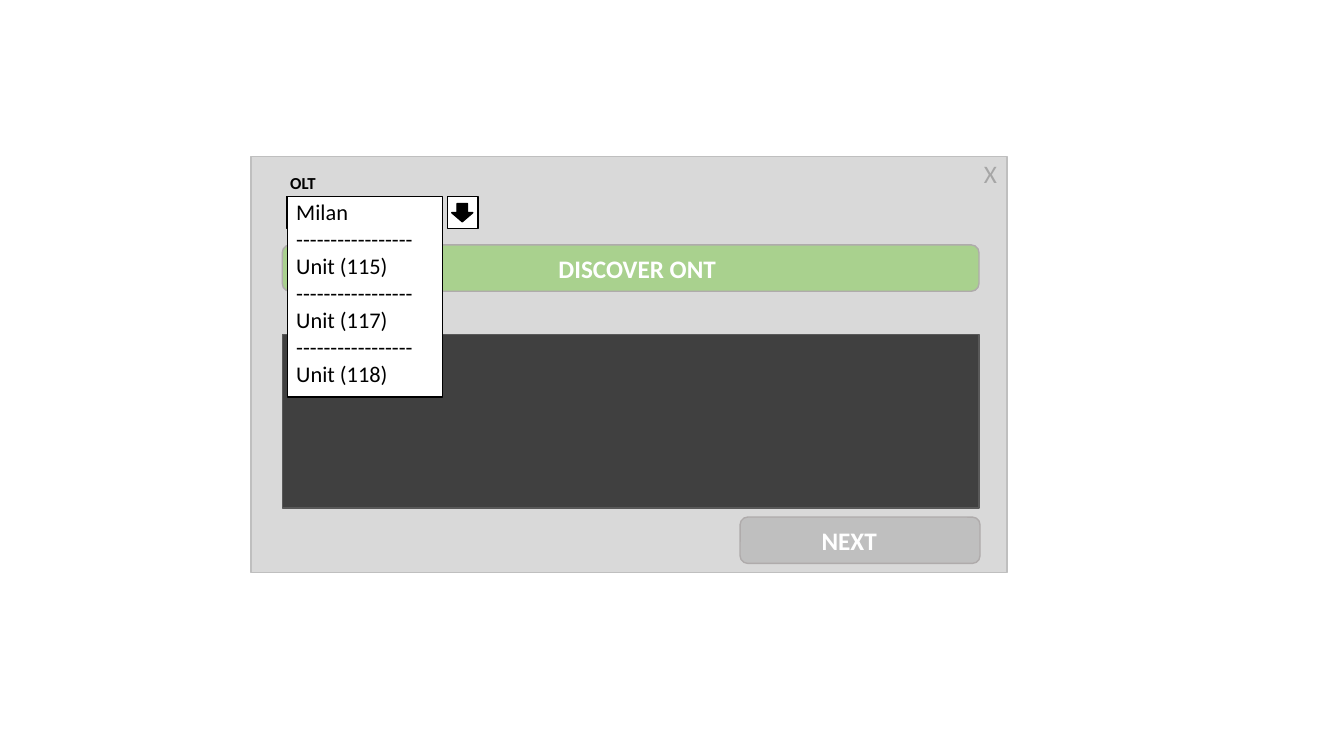
from pptx import Presentation
from pptx.dml.color import RGBColor
from pptx.enum.shapes import MSO_SHAPE
from pptx.enum.text import MSO_AUTO_SIZE
from pptx.util import Inches, Pt

RECT = MSO_SHAPE.RECTANGLE
ROUNDED = MSO_SHAPE.ROUNDED_RECTANGLE
DOWN_ARROW = MSO_SHAPE.DOWN_ARROW
GROW = MSO_AUTO_SIZE.SHAPE_TO_FIT_TEXT
BLANK_LAYOUT = 6

BLACK, WHITE = "000000", "FFFFFF"
GREEN, GREY = "A9D18E", "BFBFBF"
BUTTON_LINE = "AFABAB"


def rgb(color):
    return RGBColor.from_string(color)


def add_box(shapes, kind, x, y, w, h, fill, line):
    sp = shapes.add_shape(kind, Inches(x), Inches(y), Inches(w), Inches(h))
    sp.shadow.inherit = False
    sp.fill.solid()
    sp.fill.fore_color.rgb = rgb(fill)
    sp.line.color.rgb = rgb(line)
    sp.line.width = Pt(1)


def add_text(shapes, lines, x, y, w, h, size, color, bold=False, wrap=False):
    tf = shapes.add_textbox(Inches(x), Inches(y), Inches(w), Inches(h)).text_frame
    tf.word_wrap = wrap
    tf.auto_size = GROW
    tf.text = "\n".join(lines)
    for p in tf.paragraphs:
        p.font.name = "Calibri"
        p.font.size = Pt(size)
        p.font.bold = bold
        p.font.color.rgb = rgb(color)


def add_button(shapes, label, x, y, w, fill, label_x, label_w):
    button = shapes.add_group_shape().shapes
    add_box(button, ROUNDED, x, y, w, 0.46, fill, BUTTON_LINE)
    add_text(button, [label], label_x, y + 0.03, label_w, 0.4, 18, WHITE, bold=True)


def add_dropdown(shapes, x, y):
    """Closed selection field with its arrow button."""
    field = shapes.add_group_shape().shapes
    add_box(field, RECT, x, y, 1.54, 0.32, WHITE, BLACK)
    add_box(field, RECT, x + 1.6, y, 0.3, 0.32, WHITE, BLACK)
    add_box(field, DOWN_ARROW, x + 1.64, y + 0.07, 0.21, 0.18, BLACK, BLACK)


def add_option_list(shapes, options, x, y):
    """Open list with a dashed row between options."""
    rows = f"\n{'-' * 17}\n".join(options).split("\n")
    add_box(shapes, RECT, x, y, 1.54, 1.99, WHITE, BLACK)
    add_text(shapes, rows, x - 0.01, y - 0.03, 1.36, 1.99, 16, BLACK)


def main():
    prs = Presentation()
    prs.slide_width, prs.slide_height = Inches(13.33), Inches(7.5)
    shapes = prs.slides.add_slide(prs.slide_layouts[BLANK_LAYOUT]).shapes

    add_box(shapes, RECT, 2.49, 1.55, 7.5, 4.13, "D9D9D9", GREY)
    add_button(shapes, "DISCOVER ONT", 2.8, 2.43, 6.91, GREEN, 5.44, 3.62)
    add_box(shapes, RECT, 2.8, 3.32, 6.91, 1.72, "404040", "595959")
    add_dropdown(shapes, 2.84, 1.95)
    add_text(shapes, ["OLT"], 2.78, 1.66, 1.78, 0.3, 12, BLACK, bold=True, wrap=True)
    add_button(shapes, "NEXT", 7.34, 5.13, 2.38, GREY, 8.05, 0.75)
    add_option_list(shapes, ["Milan", "Unit (115)", "Unit (117)", "Unit (118)"], 2.85, 1.95)
    add_text(shapes, ["X"], 9.66, 1.52, 0.33, 0.4, 18, "A6A6A6")

    prs.save("out.pptx")


if __name__ == "__main__":
    main()
